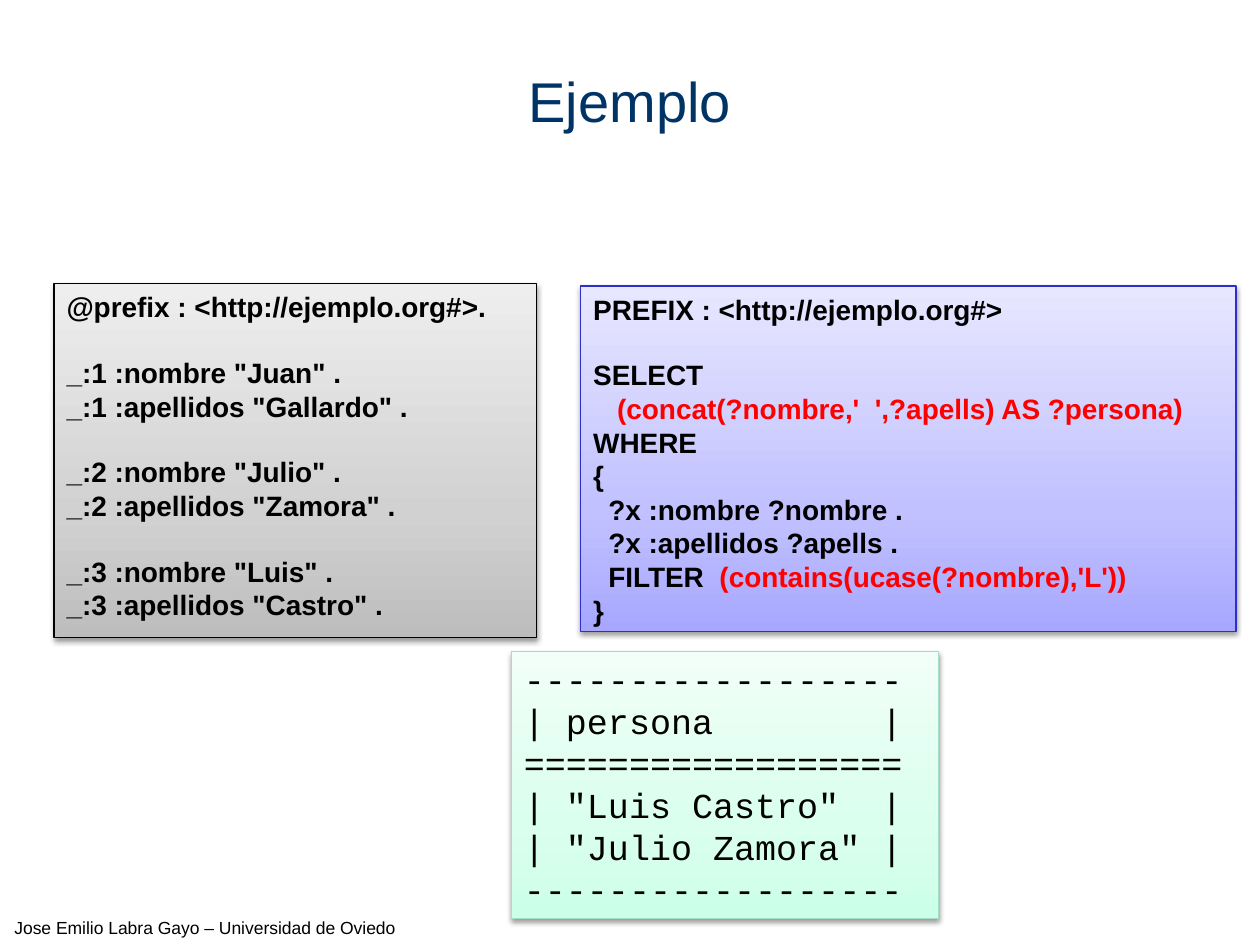
from copy import deepcopy
from dataclasses import dataclass

from lxml.etree import SubElement
from pptx import Presentation
from pptx.dml.color import RGBColor
from pptx.enum.shapes import MSO_SHAPE
from pptx.enum.text import MSO_ANCHOR, PP_ALIGN
from pptx.oxml.ns import qn
from pptx.util import Inches, Pt

BLACK, RED, NAVY = "000000", "FF0000", "003366"
LINE_HEIGHT = 1.15


@dataclass
class Line:
    text: str = ""
    red_text: str = ""
    indent: float = 0
    new_block: bool = False


@dataclass
class Panel:
    left: float
    top: float
    width: float
    height: float
    gradient: tuple[str, str, str]
    border: str
    lines: list[Line]
    font: str = "Arial"
    size: int = 16
    bold: bool = True


def color(value: str) -> RGBColor:
    return RGBColor.from_string(value)


def add_run(paragraph, text: str, *, size: int, fill: str = BLACK,
            font: str = "Arial", bold: bool = False) -> None:
    run = paragraph.add_run()
    run.text = text
    run.font.name = font
    run.font.size = Pt(size)
    run.font.bold = bold
    run.font.color.rgb = color(fill)


def add_label(slide, text: str, left: float, top: float, width: float,
              height: float, *, size: int, fill: str, wrap: bool) -> None:
    shape = slide.shapes.add_textbox(
        Inches(left), Inches(top), Inches(width), Inches(height))
    frame = shape.text_frame
    frame.word_wrap = wrap
    frame.vertical_anchor = MSO_ANCHOR.MIDDLE
    frame.paragraphs[0].alignment = PP_ALIGN.CENTER
    add_run(frame.paragraphs[0], text, size=size, fill=fill)


def fill_gradient(shape, colors: tuple[str, str, str]) -> None:
    """Three stops, running from bottom to top."""
    shape.fill.gradient()
    shape.fill.gradient_angle = 90
    stop_list = shape.fill._xPr.find(".//" + qn("a:gsLst"))
    stop_list.append(deepcopy(stop_list[0]))
    for stop, value, position in zip(shape.fill.gradient_stops, colors, (0, 0.35, 1)):
        stop.color.rgb = color(value)
        stop.position = position


def add_shadow(shape) -> None:
    shape.shadow.inherit = False
    effects = shape._element.spPr.find(qn("a:effectLst"))
    shadow = SubElement(effects, qn("a:outerShdw"), blurRad=str(Pt(3.1)),
                        dist=str(Pt(1.6)), dir="5400000", rotWithShape="0")
    shadow_color = SubElement(shadow, qn("a:srgbClr"), val=BLACK)
    SubElement(shadow_color, qn("a:alpha"), val="38000")


def add_panel(slide, panel: Panel) -> None:
    shape = slide.shapes.add_shape(
        MSO_SHAPE.RECTANGLE, Inches(panel.left), Inches(panel.top),
        Inches(panel.width), Inches(panel.height))
    fill_gradient(shape, panel.gradient)
    shape.line.color.rgb = color(panel.border)
    shape.line.width = Pt(0.75)
    add_shadow(shape)

    frame = shape.text_frame
    frame.word_wrap = True
    frame.vertical_anchor = MSO_ANCHOR.TOP
    for index, line in enumerate(panel.lines):
        paragraph = frame.add_paragraph() if index else frame.paragraphs[0]
        paragraph.alignment = PP_ALIGN.LEFT
        if line.new_block:
            paragraph.space_before = Pt(panel.size * LINE_HEIGHT)
        if line.indent:
            paragraph._p.get_or_add_pPr().set("marL", str(Inches(line.indent)))
        for text, fill in ((line.text, BLACK), (line.red_text, RED)):
            if text:
                add_run(paragraph, text, size=panel.size, fill=fill,
                        font=panel.font, bold=panel.bold)


def data_lines() -> list[Line]:
    people = [("Juan", "Gallardo"), ("Julio", "Zamora"), ("Luis", "Castro")]
    lines = [Line("@prefix : <http://ejemplo.org#>.")]
    for number, (name, surname) in enumerate(people, start=1):
        lines.append(Line(f'_:{number} :nombre "{name}" .', new_block=True))
        lines.append(Line(f'_:{number} :apellidos "{surname}" .'))
    return lines


def result_lines() -> list[Line]:
    header, *rows = [Line(f"| {value:<14} |")
                     for value in ("persona", '"Luis Castro"', '"Julio Zamora"')]
    rule = Line("-" * 18)
    return [rule, header, Line("=" * 18), *rows, rule]


QUERY_LINES = [
    Line("PREFIX : <http://ejemplo.org#>"),
    Line("SELECT", new_block=True),
    Line(red_text="(concat(?nombre,'  ',?apells) AS ?persona)", indent=0.19),
    Line("WHERE"),
    Line("{"),
    Line("?x :nombre ?nombre .", indent=0.12),
    Line("?x :apellidos ?apells .", indent=0.12),
    Line("FILTER  ", "(contains(ucase(?nombre),'L'))", indent=0.12),
    Line("}"),
]

PANELS = [
    Panel(4.61, 2.27, 5.2, 2.74, ("A7A7FF", "C1C1FF", "E7E7FF"), "2E2ECB", QUERY_LINES),
    Panel(0.43, 2.25, 3.83, 2.81, ("BDBDBD", "D1D1D1", "EEEEEE"), BLACK, data_lines()),
    Panel(4.06, 5.17, 3.39, 2.12, ("CCFFE8", "DAFFEE", "F1FFF8"), "A5DEC6",
          result_lines(), font="Courier New", size=20, bold=False),
]


def main() -> None:
    presentation = Presentation()
    presentation.slide_width = Inches(10)
    presentation.slide_height = Inches(7.5)
    slide = presentation.slides.add_slide(presentation.slide_layouts[6])

    # Footer and title
    add_label(slide, "Jose Emilio Labra Gayo – Universidad de Oviedo",
              0, 7.23, 3.25, 0.27, size=10, fill=BLACK, wrap=False)
    add_label(slide, "Ejemplo", 0, 0.17, 10, 1.25, size=32, fill=NAVY, wrap=True)

    # Query, data and result
    for panel in PANELS:
        add_panel(slide, panel)

    presentation.save("out.pptx")


if __name__ == "__main__":
    main()
